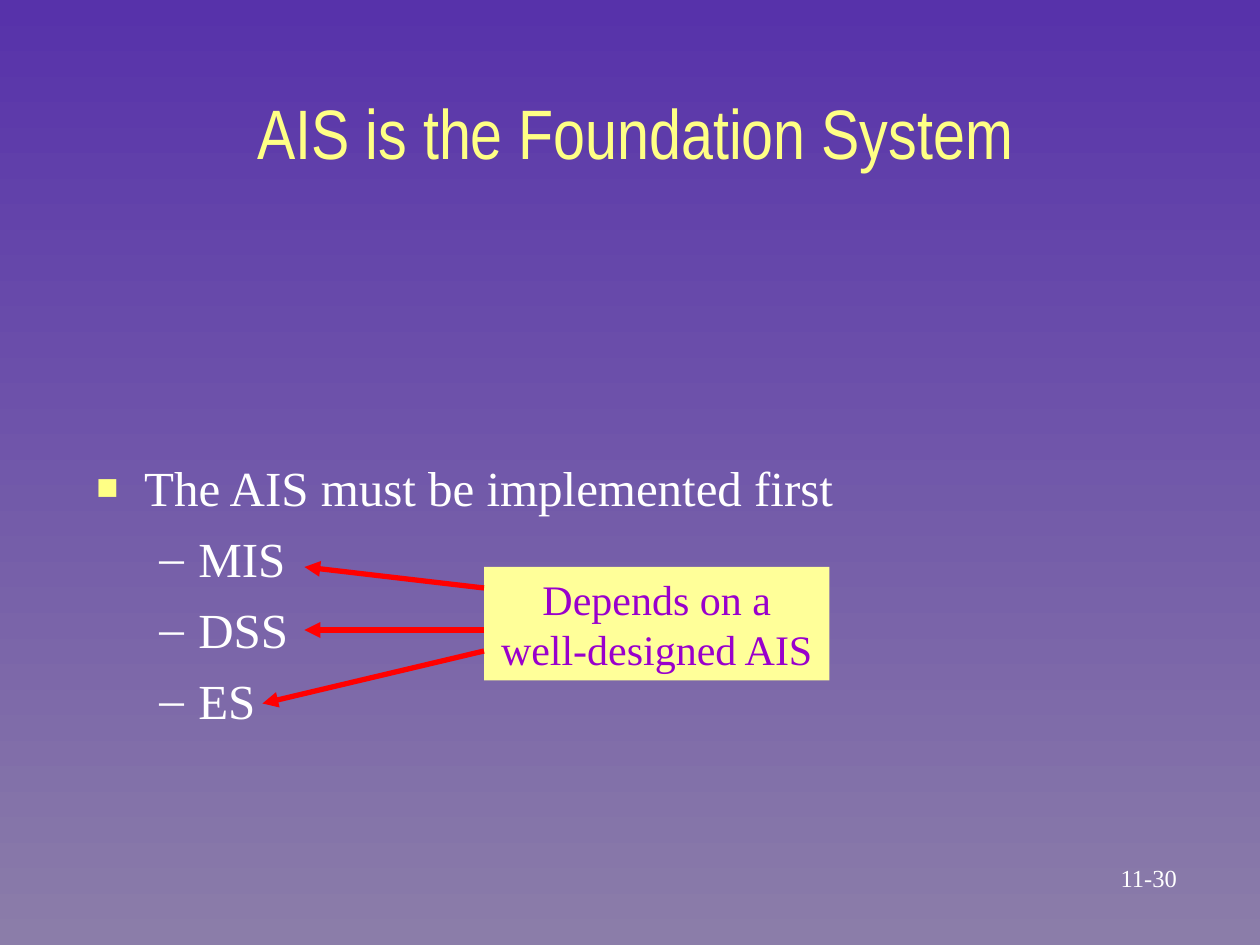
from lxml.etree import SubElement
from pptx import Presentation
from pptx.dml.color import RGBColor
from pptx.enum.shapes import MSO_CONNECTOR, MSO_SHAPE
from pptx.enum.text import MSO_ANCHOR, MSO_AUTO_SIZE, PP_ALIGN
from pptx.oxml.ns import qn
from pptx.util import Inches, Pt

prs = Presentation()
prs.slide_width, prs.slide_height = Inches(10), Inches(7.5)
unit = prs.slide_width / 120  # square grid: 120 columns by 90 rows


def grid(*cells):
    return [round(cell * unit) for cell in cells]


def style(p, font, size, color, align=PP_ALIGN.CENTER):
    p.alignment = align
    for r in p.runs:
        r.font.name, r.font.size = font, Pt(size)
        r.font.color.rgb = RGBColor.from_string(color)


# Background
s = prs.slides.add_slide(prs.slide_layouts[5])
fill = s.background.fill
fill.gradient()
fill.gradient_angle = 270
for stop, color in zip(fill.gradient_stops, ("5732AA", "8B7DA9")):
    stop.color.rgb = RGBColor.from_string(color)

# Title
title = s.shapes.title
title.left, title.top, title.width, title.height = grid(1, 5, 119, 15)
tf = title.text_frame
tf.text = "AIS is the Foundation System"
tf.auto_size = MSO_AUTO_SIZE.NONE
tf.vertical_anchor = MSO_ANCHOR.MIDDLE
style(tf.paragraphs[0], "Arial Narrow", 40, "FFFF85")

# Bulleted list
tf = s.shapes.add_textbox(*grid(8, 43, 103, 34.4)).text_frame
tf.word_wrap = True
tf.text = "The AIS must be implemented first\nMIS\nDSS\nES"
for i, p in enumerate(tf.paragraphs):
    if i == 0:
        indent, hang, bullet, color, size = 0.38, 0.38, "■", "FFFF85", 75
    else:
        indent, hang, bullet, color, size = 0.81, 0.31, "–", "FFFFFF", 100
        p.level = 1
    pPr = p._p.get_or_add_pPr()
    pPr.set("marL", str(Inches(indent)))
    pPr.set("indent", str(-Inches(hang)))
    SubElement(SubElement(pPr, qn("a:buClr")), qn("a:srgbClr"), val=color)
    SubElement(pPr, qn("a:buSzPct"), val=str(size * 1000))
    SubElement(pPr, qn("a:buFont"), typeface="Times New Roman")
    SubElement(pPr, qn("a:buChar"), char=bullet)
    p.space_before = Pt(7 if i else 0)
    style(p, "Times New Roman", 28, "FFFFFF", PP_ALIGN.LEFT)

# Callout
sp = s.shapes.add_shape(MSO_SHAPE.RECTANGLE, *grid(46.1, 54, 32.9, 10.8))
sp.shadow.inherit = False
sp.fill.solid()
sp.fill.fore_color.rgb = RGBColor.from_string("FFFF99")
sp.line.fill.background()
tf = sp.text_frame
tf.word_wrap = True
tf.vertical_anchor = MSO_ANCHOR.MIDDLE
tf.text = "Depends on a well-designed AIS"
style(tf.paragraphs[0], "Times New Roman", 24, "9900CC")

# Arrows from the callout to the three systems
for start_row, end_col, end_row in ((56, 29, 54), (60, 29, 60), (62, 25, 67)):
    arrow = s.shapes.add_connector(
        MSO_CONNECTOR.STRAIGHT, *grid(46.1, start_row, end_col, end_row))
    arrow.line.color.rgb = RGBColor.from_string("FF0000")
    arrow.line.width = Pt(3)
    SubElement(arrow.line._get_or_add_ln(), qn("a:tailEnd"), type="triangle")
    SubElement(arrow._element.spPr, qn("a:effectLst"))

# Page number
tf = s.shapes.add_textbox(*grid(101.8, 81.6, 15.2, 4)).text_frame
tf.word_wrap = False
tf.vertical_anchor = MSO_ANCHOR.MIDDLE
tf.text = "11-30"
style(tf.paragraphs[0], "Times New Roman", 14, "FFFFFF")

prs.save("out.pptx")
